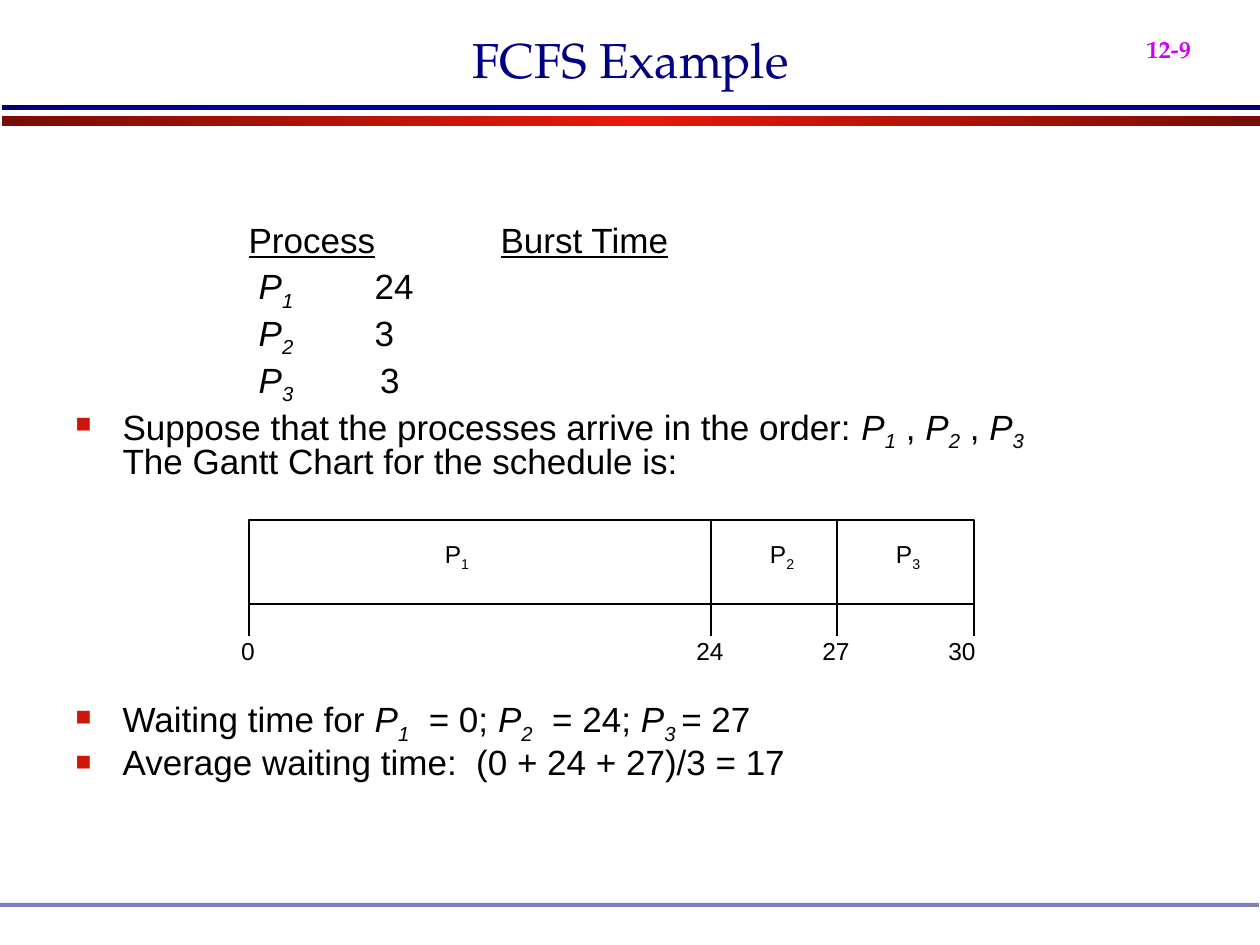
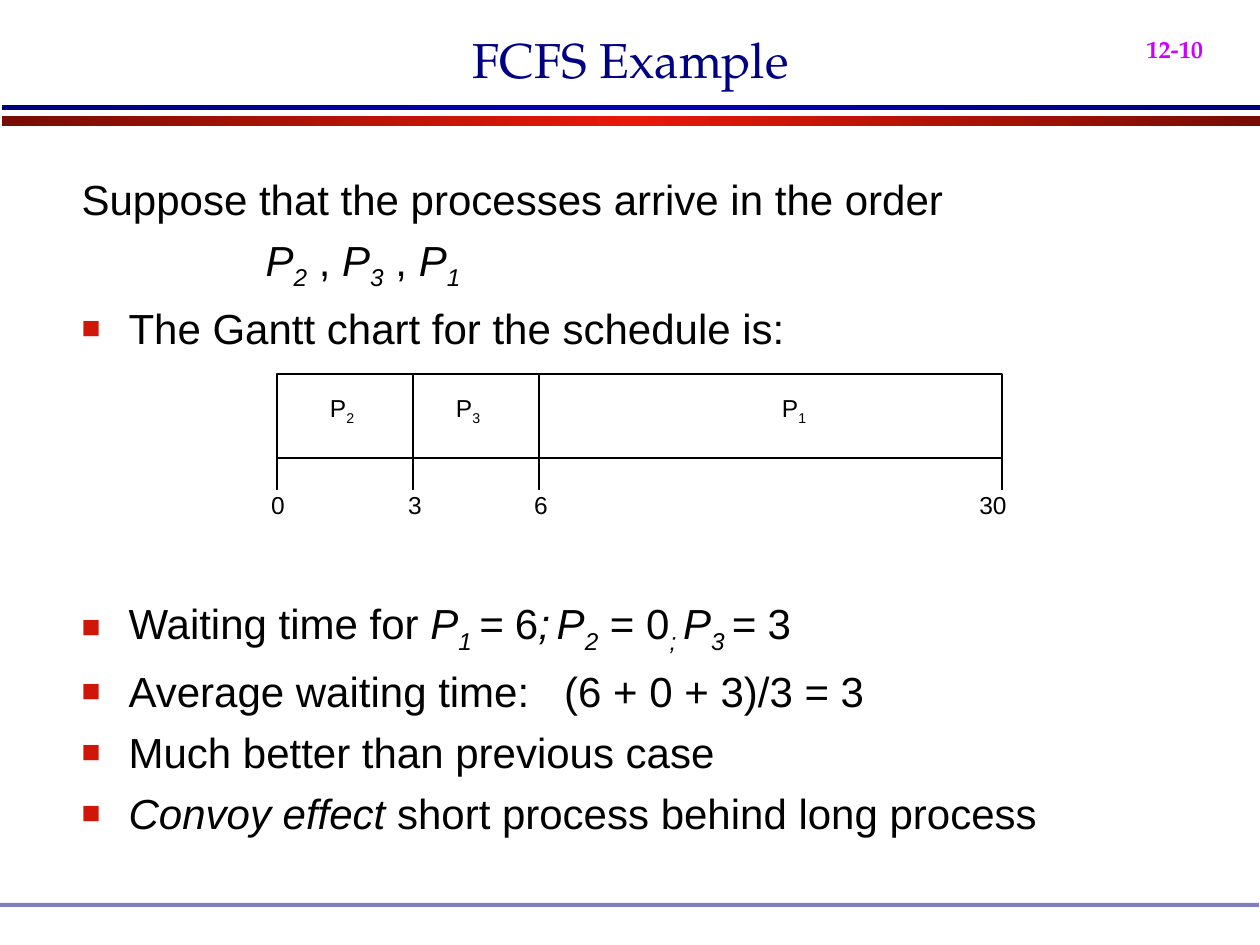
from copy import deepcopy

from lxml import etree
from pptx import Presentation
from pptx.dml.color import RGBColor
from pptx.enum.shapes import MSO_CONNECTOR, MSO_SHAPE
from pptx.enum.text import MSO_ANCHOR, MSO_AUTO_SIZE, PP_ALIGN
from pptx.oxml.ns import qn
from pptx.util import Emu, Pt

RECTANGLE, STRAIGHT = MSO_SHAPE.RECTANGLE, MSO_CONNECTOR.STRAIGHT
TOP, MIDDLE, BOTTOM = MSO_ANCHOR.TOP, MSO_ANCHOR.MIDDLE, MSO_ANCHOR.BOTTOM
LEFT, CENTER = PP_ALIGN.LEFT, PP_ALIGN.CENTER
NO_FIT = MSO_AUTO_SIZE.NONE

PX_PER_INCH = 126
SERIF, SANS = "TeX Gyre Pagella", "Arial"

BLACK = RGBColor(0x00, 0x00, 0x00)
WHITE = RGBColor(0xFF, 0xFF, 0xFF)
NAVY = RGBColor(0x00, 0x00, 0x82)
MAGENTA = RGBColor(0xCC, 0x00, 0xFF)
BULLET_RED = RGBColor(0xD0, 0x16, 0x08)
RED_EDGE = RGBColor(0x77, 0x0D, 0x05)
RED_MIDDLE = RGBColor(0xE7, 0x19, 0x09)
BLUE_EDGE = RGBColor(0x00, 0x00, 0x7F)
BLUE_MIDDLE = RGBColor(0x00, 0x00, 0xB6)

HANGING = 47
GANTT_BAR_HEIGHT, GANTT_TICK_HEIGHT, GANTT_LABEL_WIDTH = 84, 32, 80


def px(length):
    return Emu(round(length * 914400 / PX_PER_INCH))


def add_child(parent, tag, **attributes):
    child = etree.SubElement(parent, qn(tag))
    for name, value in attributes.items():
        child.set(name, str(value))
    return child


def style_font(font, name, size, color):
    font.name, font.size = name, Pt(size)
    font.color.rgb = color


def write_spans(para, text):
    """Write text as runs; * toggles italic, _ subscript, ~ underline."""
    active = set()
    piece = ""
    for char in text + "\0":
        if char not in "*_~\0":
            piece += char
            continue
        if piece:
            span = para.add_run()
            span.text = piece
            if "*" in active:
                span.font.italic = True
            if "~" in active:
                span.font.underline = True
            if "_" in active:
                span._r.get_or_add_rPr().set("baseline", "-25000")
            piece = ""
        active ^= {char}


class SlideWriter:
    def __init__(self):
        self.deck = Presentation()
        self.deck.slide_width, self.deck.slide_height = px(1260), px(945)
        self.page = None

    def start_page(self, title, number):
        self.page = self.deck.slides.add_slide(self.deck.slide_layouts[1])
        self.gradient_band(116, 10, RED_EDGE, RED_MIDDLE)
        self.gradient_band(105, 5, BLUE_EDGE, BLUE_MIDDLE)
        footer = self.rectangle(0, 903, 1259, 4, NAVY)
        color = footer._element.spPr.find(qn("a:solidFill"))[0]
        add_child(color, "a:alpha", val=50000)

        self.label(f"_{number}_", 1134, 0, 136, 71, SERIF, 24, MAGENTA, bold=True)

        heading = self.page.shapes.title
        self.place(heading, 95, 0, 1071, 95)
        frame = heading.text_frame
        frame.auto_size, frame.vertical_anchor = NO_FIT, BOTTOM
        para = frame.paragraphs[0]
        para.alignment = CENTER
        style_font(para.font, SERIF, 28, NAVY)
        write_spans(para, title)

    def place(self, shape, left, top, width, height):
        shape.left, shape.top = px(left), px(top)
        shape.width, shape.height = px(width), px(height)

    def rectangle(self, left, top, width, height, color, outline=None):
        shape = self.page.shapes.add_shape(
            RECTANGLE, px(left), px(top), px(width), px(height))
        shape.shadow.inherit = False
        shape.fill.solid()
        shape.fill.fore_color.rgb = color
        if outline is None:
            shape.line.fill.background()
        else:
            shape.line.color.rgb = outline
            shape.line.width = Pt(0.75)
        return shape

    def gradient_band(self, top, height, edge, middle):
        band = self.rectangle(2, top, 1258, height, edge)
        band.fill.gradient()
        band.fill.gradient_angle = 0
        first, second = band.fill.gradient_stops
        first.color.rgb, second.color.rgb = edge, middle
        first.position, second.position = 0, 0.5
        stops = band._element.spPr.find(qn("a:gradFill")).find(qn("a:gsLst"))
        last = deepcopy(stops[0])
        last.set("pos", "100000")
        stops.append(last)

    def label(self, text, left, top, width, height, font, size, color,
              align=LEFT, anchor=TOP, bold=None):
        box = self.page.shapes.add_textbox(
            px(left), px(top), px(width), px(height))
        frame = box.text_frame
        frame.word_wrap, frame.vertical_anchor = True, anchor
        para = frame.paragraphs[0]
        para.alignment = align
        style_font(para.font, font, size, color)
        para.font.bold = bold
        write_spans(para, text)

    def line(self, x, top, bottom):
        connector = self.page.shapes.add_connector(
            STRAIGHT, px(x), px(top), px(x), px(bottom))
        connector.line.color.rgb = BLACK
        connector.line.width = Pt(0.75)
        add_child(connector._element.spPr, "a:effectLst")

    def body(self, left, top, width, height, size, space, spacing, items):
        """Fill the body; items are (text, options) with bullet, margin, tab, before."""
        holder = self.page.placeholders[1]
        self.place(holder, left, top, width, height)
        frame = holder.text_frame
        frame.auto_size, frame.vertical_anchor = NO_FIT, TOP
        for index, (text, options) in enumerate(items):
            para = frame.paragraphs[0] if index == 0 else frame.add_paragraph()
            para.line_spacing = spacing
            para.space_before = Pt(options.get("before", space) if index else 0)
            self.indent(para, **options)
            style_font(para.font, SANS, size, BLACK)
            for number, row in enumerate(text.split("\n")):
                if number:
                    para.add_line_break()
                write_spans(para, row)

    def indent(self, para, bullet=True, margin=0, tab=None, before=None):
        """Set margin, bullet and the tab distance measured from the margin."""
        properties = para._p.get_or_add_pPr()
        properties.set("marL", str(px(HANGING if bullet else margin)))
        properties.set("indent", str(px(-HANGING if bullet else 0)))
        if tab:
            properties.set("defTabSz", str(px(tab)))
        if bullet:
            color = add_child(properties, "a:buClr")
            add_child(color, "a:srgbClr", val=BULLET_RED)
            add_child(properties, "a:buSzPct", val=75000)
            add_child(properties, "a:buFont", typeface=SANS)
            add_child(properties, "a:buChar", char="■")
        else:
            add_child(properties, "a:buNone")

    def gantt(self, top, edges, processes, times):
        """Draw the bar; processes and times are (text, centre) pairs."""
        bottom = top + GANTT_BAR_HEIGHT
        self.rectangle(edges[0], top, edges[-1] - edges[0],
                       GANTT_BAR_HEIGHT, WHITE, BLACK)
        for edge in edges[1:-1]:
            self.line(edge, top, bottom)
        for edge in edges:
            self.line(edge, bottom, bottom + GANTT_TICK_HEIGHT)
        for pairs, label_top, height in ((processes, top + 13, 46),
                                         (times, bottom + 25, 43)):
            for text, centre in pairs:
                self.label(text, centre - GANTT_LABEL_WIDTH // 2, label_top,
                           GANTT_LABEL_WIDTH, height, SANS, 14, BLACK,
                           CENTER, MIDDLE)


def main():
    writer = SlideWriter()
    header = {"bullet": False, "margin": 173, "tab": 252}
    row = {"bullet": False, "margin": 183, "tab": 116}

    writer.start_page("FCFS Example", "12-9")
    writer.body(63, 220, 1134, 624, 20, 5, 0.8, [
        ("~Process~\t~Burst Time~", header),
        ("*P_1\t_*24", row),
        ("*P_2\t_*3", row),
        ("*P_3\t _*3", row),
        ("Suppose that the processes arrive in the order: "
         "*P_1_* , *P_2_* , *P_3_*\nThe Gantt Chart for the schedule is:", {}),
        ("Waiting time for *P_1_*  = 0; *P_2_*  = 24; *P_3 _*= 27",
         {"before": 126}),
        ("Average waiting time:  (0 + 24 + 27)/3 = 17", {}),
    ])
    writer.gantt(520, (249, 711, 837, 974),
                 (("P_1_", 457), ("P_2_", 782), ("P_3_", 908)),
                 (("0", 248), ("24", 710), ("27", 836), ("30", 962)))

    writer.start_page("FCFS Example", "12-10")
    writer.body(69, 167, 1134, 669, 24, 6, 1.0, [
        ("Suppose that the processes arrive in the order", {"bullet": False}),
        ("*P_2_* , *P_3_* , *P_1_*", {"bullet": False, "margin": 184}),
        ("The Gantt chart for the schedule is:", {}),
        ("Waiting time for *P_1 _=* 6*;_ _P_2_* = 0*_; _P_3 _= *3",
         {"before": 140}),
        ("Average waiting time:   (6 + 0 + 3)/3 = 3", {}),
        ("Much better than previous case", {}),
        ("*Convoy effect* short process behind long process", {}),
    ])
    writer.gantt(374, (277, 413, 539, 1002),
                 (("P_2_", 342), ("P_3_", 468), ("P_1_", 794)),
                 (("0", 278), ("3", 415), ("6", 541), ("30", 993)))

    writer.deck.save("out.pptx")


if __name__ == "__main__":
    main()
